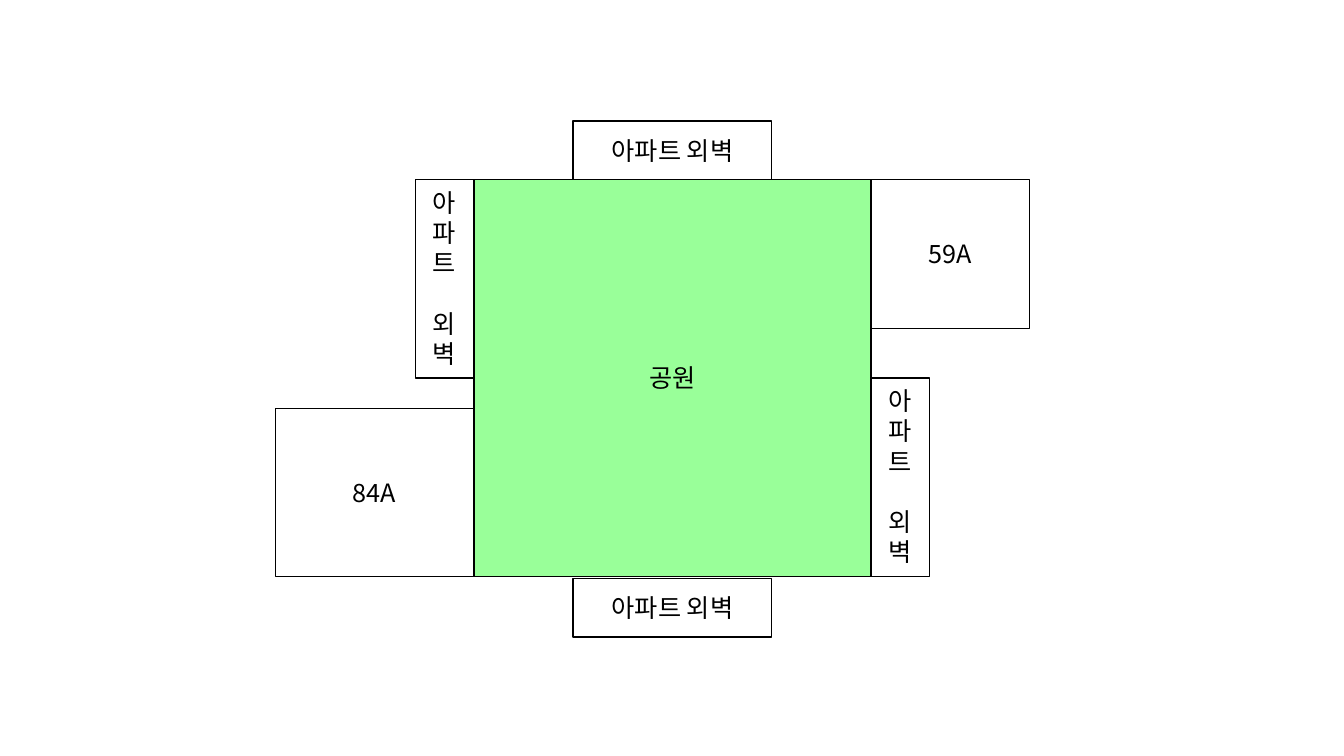
from lxml import etree
from pptx import Presentation
from pptx import util as u
from pptx.dml.color import RGBColor
from pptx.enum import shapes, text
from pptx.oxml.ns import qn

COLORS = {"park": "99FF99", "ink": "000000"}
FONT = "Noto Sans CJK KR"
WALL_LENGTH, WALL_DEPTH = 1.97, 0.58


def add_box(slide, box, fill=None):
    """Outlined rectangle, filled only when a colour is given."""
    sp = slide.shapes.add_shape(shapes.MSO_SHAPE.RECTANGLE, *map(u.Inches, box))
    sp.shadow.inherit = False
    if fill:
        sp.fill.solid()
        sp.fill.fore_color.rgb = RGBColor.from_string(fill)
    else:
        sp.fill.background()
    sp.line.color.rgb = RGBColor.from_string(COLORS["ink"])
    sp.line.width = u.Pt(1)


def add_label(slide, box, lines, width, height=0.4):
    """Text box centred on the given box, one paragraph per line."""
    x, y, w, h = box
    place = (x + (w - width) / 2, y + (h - height) / 2, width, height)
    tf = slide.shapes.add_textbox(*map(u.Inches, place)).text_frame
    tf.word_wrap = True
    tf.auto_size = text.MSO_AUTO_SIZE.SHAPE_TO_FIT_TEXT
    tf.text = "\n".join(lines)
    for p in tf.paragraphs:
        p.alignment = text.PP_ALIGN.CENTER
        for r in p.runs:
            r.font.size = u.Pt(18)
            r.font.name = FONT
            r.font.color.rgb = RGBColor.from_string(COLORS["ink"])
            etree.SubElement(r.font._element, qn("a:ea")).set("typeface", FONT)
    # Leave one line's height between the words of a vertical label
    for p in tf.paragraphs[1:]:
        p.space_before = u.Pt(21.6)


def add_area(slide, box, name, fill=None):
    """Park or housing block with its name in the middle."""
    add_box(slide, box, fill)
    add_label(slide, box, [name], 1.25)


def add_wall(slide, x, y, upright=False):
    """Apartment outer wall; an upright one is labelled one letter per line."""
    if upright:
        box = (x, y, WALL_DEPTH, WALL_LENGTH)
        add_box(slide, box)
        add_label(slide, box, ["아파트", "외벽"], 0.53, 1.92)
    else:
        box = (x, y, WALL_LENGTH, WALL_DEPTH)
        add_box(slide, box)
        add_label(slide, box, ["아파트 외벽"], 2.61)


def add_site_plan(slide, x, y, side):
    """Square park at x, y with the blocks and walls around it."""
    right, bottom = x + side, y + side
    wall_x = x + (side - WALL_LENGTH) / 2
    add_area(slide, (x, y, side, side), "공원", COLORS["park"])
    # Housing blocks
    add_area(slide, (right, y, 1.57, 1.48), "59A")
    add_area(slide, (x - 1.97, bottom - 1.67, 1.97, 1.67), "84A")
    # Outer walls
    add_wall(slide, wall_x, y - WALL_DEPTH)
    add_wall(slide, wall_x, bottom + 0.02)
    add_wall(slide, x - WALL_DEPTH, y, upright=True)
    add_wall(slide, right, bottom - WALL_LENGTH, upright=True)


def main():
    prs = Presentation()
    prs.slide_width, prs.slide_height = u.Inches(13.33), u.Inches(7.5)
    slide = prs.slides.add_slide(prs.slide_layouts[6])
    add_site_plan(slide, 4.7, 1.78, 3.94)
    prs.save("out.pptx")


if __name__ == "__main__":
    main()
